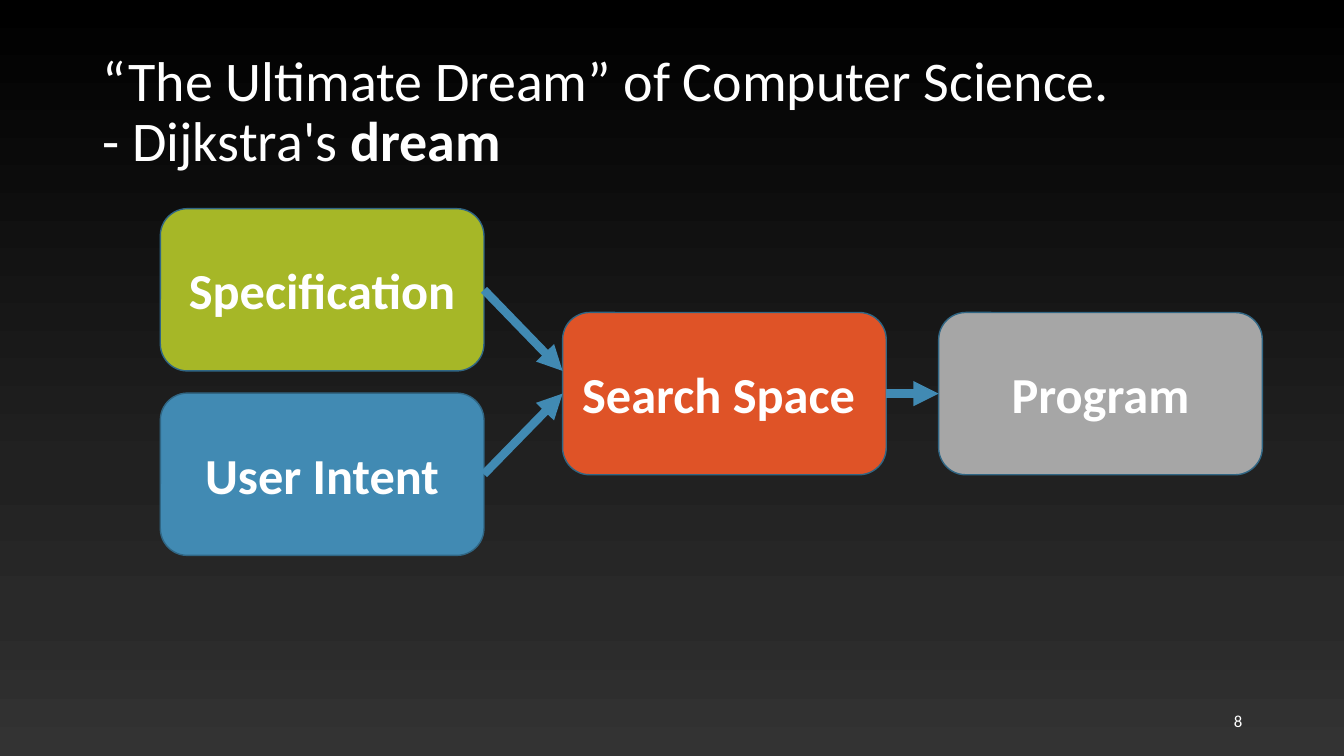
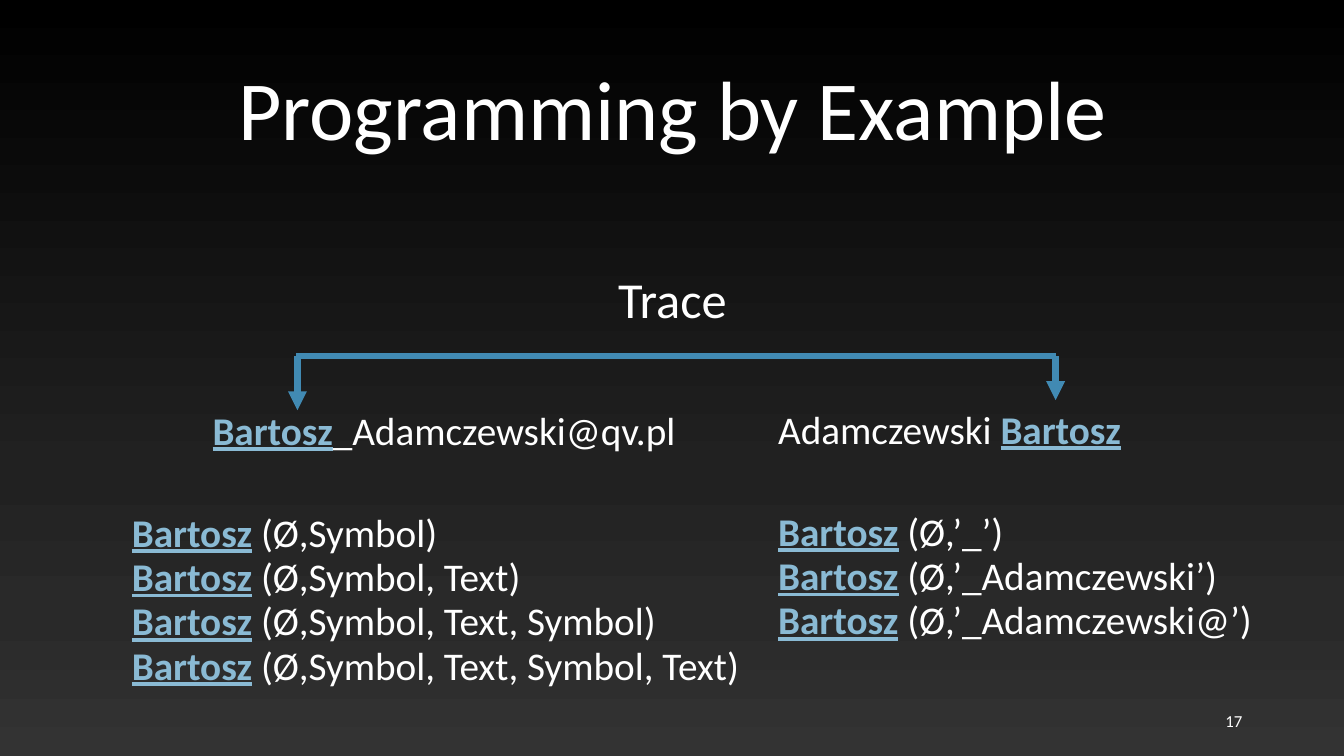
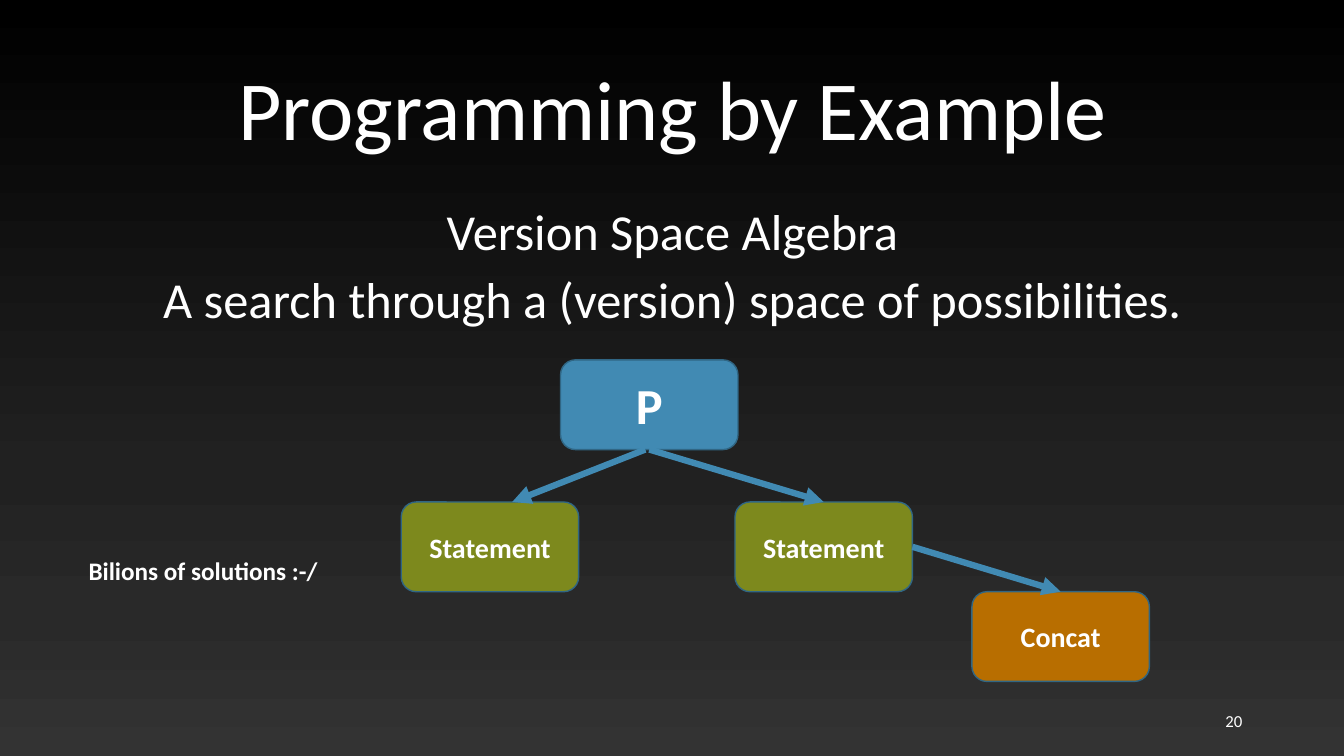
from dataclasses import dataclass
from typing import NamedTuple, Optional, Union

import pptx
import pptx.dml.color
import pptx.enum.shapes
import pptx.enum.text
import pptx.oxml
import pptx.oxml.ns
import pptx.util
from pptx.dml.color import RGBColor
from pptx.util import Inches

WHITE = RGBColor(0xFF, 0xFF, 0xFF)
BLUE = RGBColor(0x41, 0x8A, 0xB3)
LIGHT_BLUE = RGBColor(0x8A, 0xBA, 0xD4)
OUTLINE = RGBColor(0x30, 0x66, 0x84)
LIME = RGBColor(0xA6, 0xB7, 0x27)
OLIVE = RGBColor(0x7D, 0x89, 0x1D)
RED = RGBColor(0xDF, 0x53, 0x27)
GRAY = RGBColor(0xA6, 0xA6, 0xA6)
BROWN = RGBColor(0xB8, 0x6E, 0x00)
BACKDROP = {
    0: RGBColor(0x33, 0x33, 0x33),
    19: RGBColor(0x29, 0x29, 0x29),
    38: RGBColor(0x21, 0x21, 0x21),
    100: RGBColor(0x00, 0x00, 0x00),
}
FONT = "Calibri"
ALIGN = pptx.enum.text.PP_ALIGN
ANCHOR = pptx.enum.text.MSO_ANCHOR
BOTTOM, LEFT, RIGHT, TOP = 2, 1, 3, 0
EXAMPLE_TITLE = "Programming by Example"
BREAK = "\n"


class Span(NamedTuple):
    text: str
    color: RGBColor = WHITE
    bold: bool = False
    underline: bool = False


class Area(NamedTuple):
    left: float
    top: float
    width: float
    height: float


class Point(NamedTuple):
    x: float
    y: float


class Joint(NamedTuple):
    shape: pptx.shapes.autoshape.Shape
    site: int


@dataclass(frozen=True)
class Card:
    text: str
    area: Area
    color: RGBColor
    size: int = 36


@dataclass(frozen=True)
class Link:
    start: Union[Point, Joint]
    end: Union[Point, Joint]
    width: float = 4.5
    arrow: bool = True


TITLE_AREA = Area(0.92, 0.4, 11.5, 1.45)
NUMBER_AREA = Area(9.42, 6.95, 3, 0.4)
HEADING = {"line_spacing": 0.9}
CENTERED = {"alignment": ALIGN.CENTER, "line_spacing": 0.9}
BODY = CENTERED | {"space_before": pptx.util.Pt(10)}
NAME = Span("Bartosz", LIGHT_BLUE, True, True)


def apply(target: object, values: dict) -> None:
    for name, value in values.items():
        setattr(target, name, value)


def inches(area: Area) -> list[int]:
    return [Inches(length) for length in area]


def fill_paragraph(para, spans: list[Span], size: float, layout: dict) -> None:
    apply(para, layout)
    for span in spans:
        if span.text == BREAK:
            para.add_line_break()
            continue
        run = para.add_run()
        run.text = span.text
        apply(run.font, {"name": FONT, "size": pptx.util.Pt(size),
                         "bold": span.bold, "underline": span.underline})
        run.font.color.rgb = span.color


def draw_text(page, area: Area, paragraphs: list[list[Span]], size: float,
              layout: Optional[dict] = None, anchor=ANCHOR.TOP) -> None:
    frame = page.shapes.add_textbox(*inches(area)).text_frame
    apply(frame, {"word_wrap": True, "vertical_anchor": anchor})
    for index, spans in enumerate(paragraphs):
        para = frame.add_paragraph() if index else frame.paragraphs[0]
        fill_paragraph(para, spans, size, layout or {})


def draw_card(page, card: Card):
    box = page.shapes.add_shape(
        pptx.enum.shapes.MSO_SHAPE.ROUNDED_RECTANGLE, *inches(card.area))
    box.shadow.inherit = False
    box.fill.solid()
    box.fill.fore_color.rgb = card.color
    box.line.color.rgb = OUTLINE
    box.line.width = pptx.util.Pt(1)
    frame = box.text_frame
    apply(frame, {"word_wrap": True, "vertical_anchor": ANCHOR.MIDDLE})
    fill_paragraph(frame.paragraphs[0], [Span(card.text, bold=True)],
                   card.size, {"alignment": ALIGN.CENTER})
    return box


def draw_link(page, link: Link) -> None:
    corners = [end if isinstance(end, Point) else Point(0, 0)
               for end in (link.start, link.end)]
    line = page.shapes.add_connector(
        pptx.enum.shapes.MSO_CONNECTOR.STRAIGHT,
        *[Inches(length) for corner in corners for length in corner])
    for end, join in ((link.start, line.begin_connect), (link.end, line.end_connect)):
        if isinstance(end, Joint):
            join(end.shape, end.site)
    line.line.color.rgb = BLUE
    line.line.width = pptx.util.Pt(link.width)
    if link.arrow:
        head = pptx.oxml.parse_xml(
            f'<a:tailEnd {pptx.oxml.ns.nsdecls("a")} type="triangle"/>')
        line.line._get_or_add_ln().append(head)
    line._element.spPr.append(
        pptx.oxml.parse_xml(f'<a:effectLst {pptx.oxml.ns.nsdecls("a")}/>'))


def paint_backdrop(master) -> None:
    fill = master.background.fill
    fill.gradient()
    fill.gradient_angle = 90
    stops = master.element.find(".//" + pptx.oxml.ns.qn("a:gsLst"))
    for stop in list(stops):
        stops.remove(stop)
    for position, color in BACKDROP.items():
        stops.append(pptx.oxml.parse_xml(
            f'<a:gs {pptx.oxml.ns.nsdecls("a")} pos="{position * 1000}">'
            f'<a:srgbClr val="{color}"/></a:gs>'))


def add_page(deck, number: int, title: list[Span], size: int = 60,
             layout: Optional[dict] = None):
    page = deck.slides.add_slide(deck.slide_layouts[6])
    draw_text(page, TITLE_AREA, [title], size, layout or CENTERED, ANCHOR.MIDDLE)
    draw_text(page, NUMBER_AREA, [[Span(str(number))]], 12,
              {"alignment": ALIGN.RIGHT}, ANCHOR.MIDDLE)
    return page


def build_dream(deck) -> None:
    page = add_page(deck, 8, [
        Span("“The Ultimate Dream” of Computer Science."), Span(BREAK),
        Span("- Dijkstra's "), Span("dream", bold=True)], 40, HEADING)
    intent, specification, search, program = [
        draw_card(page, Card(text, Area(left, top, 3.21, 1.61), color))
        for text, left, top, color in (
            ("User Intent", 1.59, 3.9, BLUE),
            ("Specification", 1.59, 2.07, LIME),
            ("Search Space ", 5.58, 3.1, RED),
            ("Program", 9.31, 3.1, GRAY))]
    for start, end in (
            (Joint(specification, RIGHT), Point(5.58, 3.68)),
            (Joint(intent, RIGHT), Joint(search, LEFT)),
            (Joint(search, RIGHT), Joint(program, LEFT))):
        draw_link(page, Link(start, end, 6))


def build_trace(deck) -> None:
    page = add_page(deck, 17, [Span(EXAMPLE_TITLE)])
    draw_text(page, Area(0.92, 2.68, 11.5, 0.8), [[Span("Trace")]], 36, BODY)
    draw_text(page, Area(2.01, 3.98, 5.26, 0.57),
              [[NAME, Span("_Adamczewski@qv.pl")]], 28)
    draw_text(page, Area(7.62, 3.97, 3.82, 0.57),
              [[Span("Adamczewski "), NAME]], 28)
    for link in (
            Link(Point(2.95, 3.53), Point(2.95, 4.07)),
            Link(Point(2.94, 3.53), Point(10.47, 3.53), arrow=False),
            Link(Point(10.47, 3.53), Point(10.47, 3.97))):
        draw_link(page, link)
    columns = (
        (1.21, 4.99, (("Symbol", 3.44), ("Symbol, Text", 4.34),
                      ("Symbol, Text, Symbol", 5.76),
                      ("Symbol, Text, Symbol, Text", 6.66))),
        (7.62, 4.98, (("’_’", 2.61), ("’_Adamczewski’", 4.88),
                      ("’_Adamczewski@’", 5.27))))
    for left, top, rows in columns:
        for index, (tokens, width) in enumerate(rows):
            draw_text(page, Area(left, top + 0.44 * index, width, 0.57),
                      [[NAME, Span(f" (Ø,{tokens})")]], 28)


def build_algebra(deck) -> None:
    page = add_page(deck, 20, [Span(EXAMPLE_TITLE)])
    draw_text(page, Area(0.92, 2, 11.5, 4.76), [
        [Span("Version Space Algebra")],
        [Span("A search through a (version) space of possibilities.")]], 36, BODY)
    root, _, statement, concat = [
        draw_card(page, Card(text, Area(left, top, 1.76, 0.89), color, size))
        for text, left, top, color, size in (
            ("P", 5.56, 3.57, BLUE, 36),
            ("Statement", 3.98, 4.98, OLIVE, 20),
            ("Statement", 7.29, 4.98, OLIVE, 20),
            ("Concat", 9.64, 5.87, BROWN, 20))]
    for start, end in (
            (Point(6.4, 4.46), Point(5.08, 4.98)),
            (Joint(root, BOTTOM), Joint(statement, TOP)),
            (Joint(statement, RIGHT), Joint(concat, TOP))):
        draw_link(page, Link(start, end))
    draw_text(page, Area(0.78, 5.46, 2.5, 0.4),
              [[Span("Bilions of solutions :-/", bold=True)]], 18)


def main() -> None:
    deck = pptx.Presentation()
    apply(deck, {"slide_width": Inches(13.33), "slide_height": Inches(7.5)})
    paint_backdrop(deck.slide_master)
    for build in (build_dream, build_trace, build_algebra):
        build(deck)
    deck.save("out.pptx")


if __name__ == "__main__":
    main()
